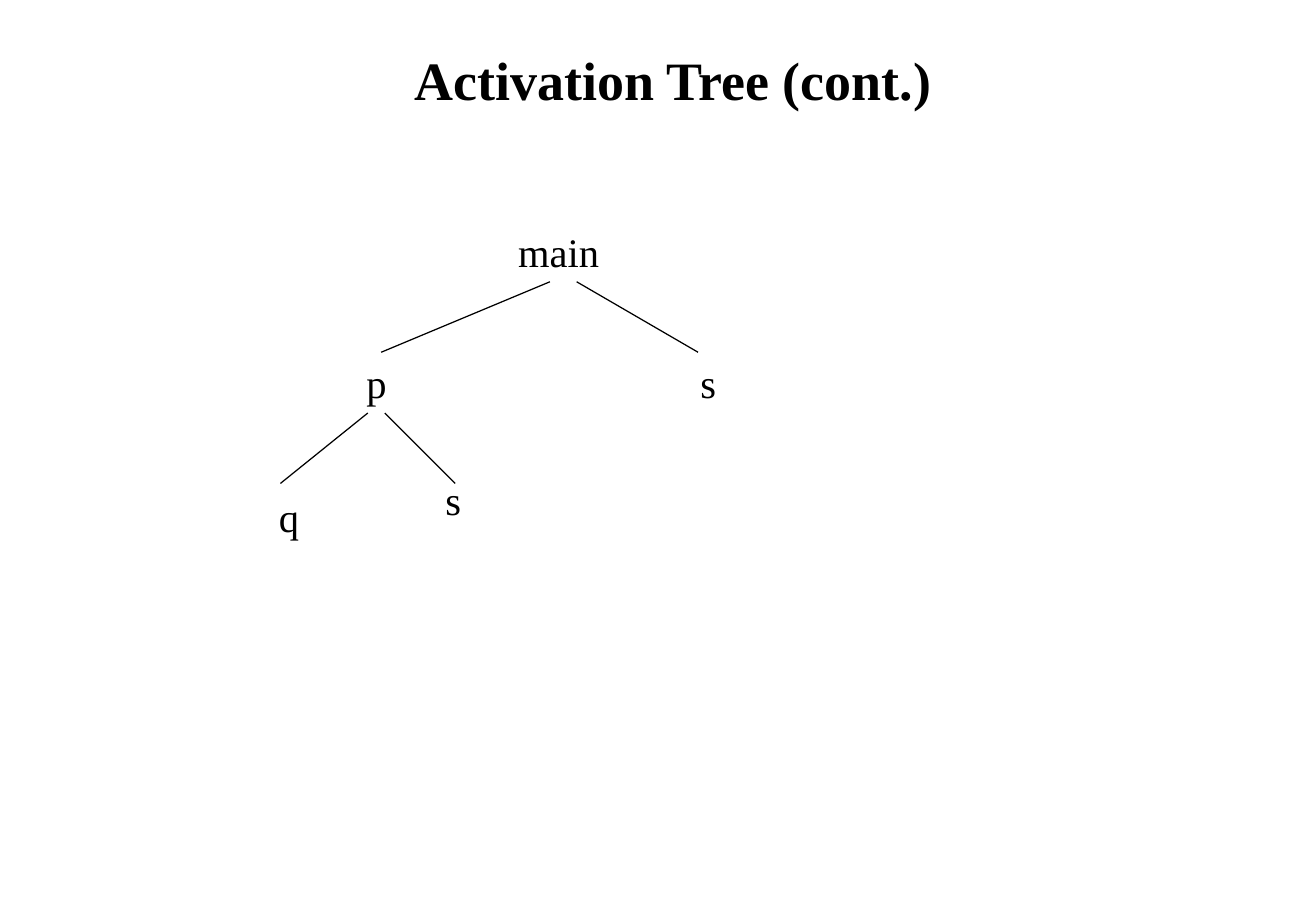
from lxml import etree
from pptx import Presentation
from pptx.dml.color import RGBColor
from pptx.enum import shapes, text
from pptx.oxml.ns import qn
from pptx.util import Inches, Pt

TITLE = "Activation Tree (cont.)"
FONT = "Times New Roman"
COLORS = {"paper": "FFFFFF", "ink": "000000"}

# Calls in the tree: name, left, top, width, wraps
CALLS = [
    ("main", 4.17, 1.82, 0.88, False),
    ("p", 2.92, 2.9, 0.37, False),
    ("s", 5.67, 2.9, 0.33, False),
    ("s", 3.57, 3.86, 0.33, False),
    ("q", 2.2, 4, 0.3, True),
]
CALL_HEIGHT = 0.5

# Branches by level: top, then (caller x, callee x) pairs
LEVELS = [
    (2.32, [(4.53, 3.14), (4.75, 5.75)]),
    (3.4, [(3.03, 2.31), (3.17, 3.75)]),
]
BRANCH_DROP = 0.58


def color(name):
    return RGBColor.from_string(COLORS[name])


def write(para, words, size, bold=False):
    span = para.add_run()
    span.text = words
    span.font.name = FONT
    span.font.size = Pt(size)
    span.font.bold = bold
    span.font.color.rgb = color("ink")


def set_insets(frame):
    frame.margin_left = frame.margin_right = Inches(0.1)
    frame.margin_top = frame.margin_bottom = Inches(0.05)


def add_branch(page, start_x, end_x, top):
    branch = page.shapes.add_connector(
        shapes.MSO_CONNECTOR.STRAIGHT, Inches(start_x), Inches(top),
        Inches(end_x), Inches(top + BRANCH_DROP))
    branch.line.color.rgb = color("ink")
    branch.line.width = Pt(0.75)
    etree.SubElement(branch._element.spPr, qn("a:effectLst"))


def add_call(page, name, left, top, width, wraps):
    box = page.shapes.add_textbox(
        Inches(left), Inches(top), Inches(width), Inches(CALL_HEIGHT))
    frame = box.text_frame
    set_insets(frame)
    frame.word_wrap = wraps
    if not wraps:
        frame.auto_size = text.MSO_AUTO_SIZE.SHAPE_TO_FIT_TEXT
    write(frame.paragraphs[0], name, 24)


def main():
    deck = Presentation()
    deck.slide_width, deck.slide_height = Inches(10.84), Inches(7.5)
    page = deck.slides.add_slide(deck.slide_layouts[5])
    page.background.fill.solid()
    page.background.fill.fore_color.rgb = color("paper")

    # Title
    title = page.shapes.title
    title.left, title.top = Inches(0.42), Inches(0.15)
    title.width, title.height = Inches(10.25), Inches(1)
    frame = title.text_frame
    set_insets(frame)
    frame.auto_size = text.MSO_AUTO_SIZE.NONE
    frame.vertical_anchor = text.MSO_ANCHOR.MIDDLE
    frame.paragraphs[0].alignment = text.PP_ALIGN.CENTER
    write(frame.paragraphs[0], TITLE, 32, bold=True)

    # Branches
    for top, branches in LEVELS:
        for start_x, end_x in branches:
            add_branch(page, start_x, end_x, top)

    # Call names
    for call in CALLS:
        add_call(page, *call)

    deck.save("out.pptx")


if __name__ == "__main__":
    main()
